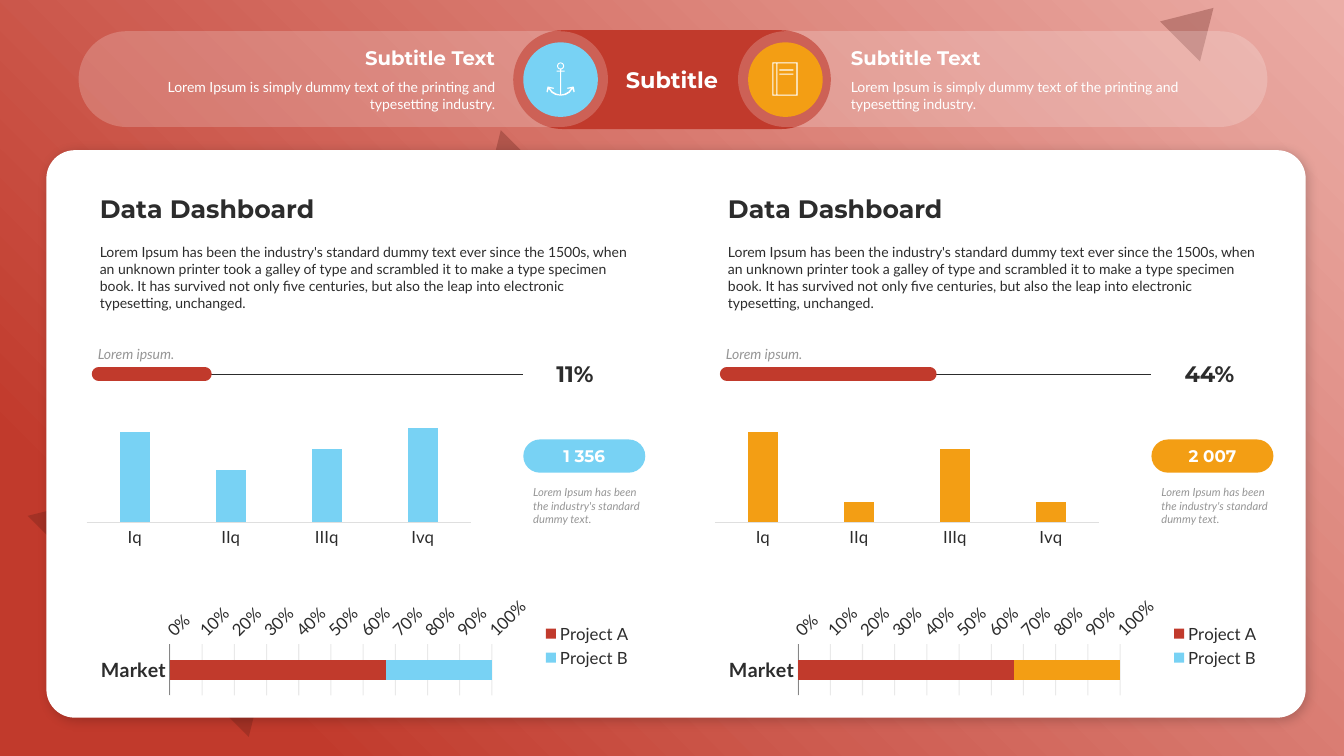
"""Builds a dashboard slide with a two-sided header and two data panels."""
from math import cos, pi, sin

from lxml import etree
from pptx import Presentation
from pptx.chart.data import CategoryChartData
from pptx.dml.color import RGBColor
from pptx.enum.chart import XL_CHART_TYPE, XL_LEGEND_POSITION, XL_TICK_LABEL_POSITION, XL_TICK_MARK
from pptx.enum.shapes import MSO_CONNECTOR, MSO_SHAPE
from pptx.enum.text import MSO_ANCHOR, MSO_AUTO_SIZE, PP_ALIGN
from pptx.oxml import parse_xml
from pptx.oxml.ns import qn
from pptx.util import Inches, Pt

RECT, PILL, OVAL, TRIANGLE = (MSO_SHAPE.RECTANGLE, MSO_SHAPE.ROUNDED_RECTANGLE,
                              MSO_SHAPE.OVAL, MSO_SHAPE.ISOSCELES_TRIANGLE)
LEFT, CENTER, RIGHT = PP_ALIGN.LEFT, PP_ALIGN.CENTER, PP_ALIGN.RIGHT
TOP, MIDDLE, BOTTOM = MSO_ANCHOR.TOP, MSO_ANCHOR.MIDDLE, MSO_ANCHOR.BOTTOM
NO_TICK = XL_TICK_MARK.NONE
RED, BLUE, ORANGE = RGBColor(0xC1, 0x3A, 0x2C), RGBColor(0x78, 0xD2, 0xF4), RGBColor(0xF3, 0x9E, 0x14)
PINK, MAROON = RGBColor(0xEB, 0xAD, 0xA6), RGBColor(0x60, 0x1D, 0x16)
WHITE, INK, GREY = RGBColor(0xFF, 0xFF, 0xFF), RGBColor(0x2C, 0x2C, 0x2C), RGBColor(0x96, 0x96, 0x96)
PALE, AXIS_GREY = RGBColor(0xDF, 0xDF, 0xDF), RGBColor(0x86, 0x86, 0x86)
BODY_FONT, HEAD_FONT = "Lato", "Montserrat"
DRAWING = "http://schemas.openxmlformats.org/drawingml/2006/main"
CHART = "http://schemas.openxmlformats.org/drawingml/2006/chart"

TITLE = "Subtitle"
SIDE_HEAD = "Subtitle Text"
SIDE_TEXT = "Lorem Ipsum is simply dummy text of the printing and typesetting industry."
SIDES = [(7.32, LEFT, 0.98, 0.2), (0.78, RIGHT, 0.2, 0.98)]
BADGES = [(5.19, BLUE), (7.42, ORANGE)]
TRIANGLES = [(0.73, 4.02, 3.1, 2.57, False), (4.57, 1.5, 0.9, 0.75, True), (11.59, 0.01, 0.56, 0.47, False)]
HEADING = "Data Dashboard"
STORY = ("Lorem Ipsum has been the industry's standard dummy text ever since the 1500s, when an unknown "
         "printer took a galley of type and scrambled it to make a type specimen book. It has survived not "
         "only five centuries, but also the leap into electronic typesetting, unchanged.")
PROGRESS_LABEL = "Lorem ipsum."
NOTE = "Lorem Ipsum has been the industry's standard dummy text."
QUARTERS = ["Iq", "IIq", "IIIq", "Ivq"]
MARKET = [("Project A", 67, RED), ("Project B", 33, BLUE)]
PANELS = [
    dict(color=BLUE, percent="11%", progress=1.05, total="1 356", quarters=[96, 56, 78, 100], top=111),
    dict(color=ORANGE, percent="44%", progress=2.01, total="2 007", quarters=[100, 23, 81, 23], top=116),
]
PANEL_LEFT, PANEL_PITCH = 0.89, 6.23
ANCHOR_HALF = [(5, 70), (5, 80), (40, 80), (40, 90), (5, 90), (5, 318), (40, 310), (80, 288), (108, 255),
               (70, 262), (65, 252), (120, 240), (130, 240), (140, 290), (130, 298), (118, 262),
               (90, 300), (50, 323), (0, 330)]
BOOK_PARTS = [(0, 0, 250, 330), (10, 10, 30, 310), (50, 10, 190, 310), (70, 70, 140, 10), (70, 110, 140, 10)]


def inches(*lengths):
    return [Inches(length) for length in lengths]


def set_alpha(fill, percent):
    color = fill._xPr.find(qn("a:solidFill"))[0]
    etree.SubElement(color, qn("a:alpha")).set("val", str(percent * 1000))


def add_block(slide, kind, box, color, alpha=None, round_share=0.5):
    block = slide.shapes.add_shape(kind, *inches(*box))
    block.shadow.inherit = False
    block.fill.solid()
    block.fill.fore_color.rgb = color
    block.line.fill.background()
    if alpha:
        set_alpha(block.fill, alpha)
    if kind == PILL:
        block.adjustments[0] = round_share
    return block


def write(holder, lines, align=LEFT, anchor=TOP, margins=(0.1, 0.05, 0.1, 0.05), after=0):
    frame = holder.text_frame
    frame.word_wrap = True
    frame.auto_size = MSO_AUTO_SIZE.NONE
    frame.vertical_anchor = anchor
    frame.margin_left, frame.margin_top, frame.margin_right, frame.margin_bottom = inches(*margins)
    for index, (text, size, face, color, bold, italic) in enumerate(lines):
        paragraph = frame.add_paragraph() if index else frame.paragraphs[0]
        paragraph.text = text
        paragraph.alignment = align
        paragraph.space_before, paragraph.space_after = Pt(0), Pt(after)
        font = paragraph.font
        font.size, font.name, font.bold, font.italic = Pt(size), face, bold, italic
        font.color.rgb = color


def place(slide, holder, box):
    holder.left, holder.top, holder.width, holder.height = inches(*box)
    slide.shapes._spTree.append(holder._element)
    return holder


def add_text(slide, box, line, **layout):
    write(slide.shapes.add_textbox(*inches(*box)), [line], **layout)


def add_outline(slide, contours, left, top):
    builder = None
    for points in contours:
        if builder is None:
            builder = slide.shapes.build_freeform(*points[0], scale=914.4)
        else:
            builder.move_to(*points[0])
        builder.add_line_segments(points[1:], close=True)
    icon = builder.convert_to_shape(*inches(left, top))
    icon.shadow.inherit = False
    icon.fill.solid()
    icon.fill.fore_color.rgb = WHITE
    icon.line.fill.background()


def circle(radius):
    return [(radius * sin(k * pi / 16), 35 - radius * cos(k * pi / 16)) for k in range(32)]


def add_rule(slide, left, right, y, color, width, cap="flat"):
    rule = slide.shapes.add_connector(MSO_CONNECTOR.STRAIGHT, *inches(left, y, right, y))
    rule.line.color.rgb = color
    rule.line.width = Pt(width)
    rule.line._ln.set("cap", cap)
    etree.SubElement(rule._element.spPr, qn("a:effectLst"))


def add_graph(slide, kind, box, categories, series, gap, overlap, size):
    data = CategoryChartData()
    data.categories = categories
    for name, values, _ in series:
        data.add_series(name, values)
    chart = slide.shapes.add_chart(kind, *inches(*box), data).chart
    chart.has_title = chart.has_legend = False
    chart.font.name, chart.font.size, chart.font.color.rgb = BODY_FONT, Pt(size), INK
    plot = chart.plots[0]
    plot.gap_width, plot.overlap, plot.vary_by_categories = gap, overlap, False
    for drawn, (_, _, color) in zip(plot.series, series):
        drawn.format.fill.solid()
        drawn.format.fill.fore_color.rgb = color
    chart.category_axis.major_tick_mark = chart.value_axis.major_tick_mark = NO_TICK
    return chart


def add_quarters(slide, left, panel):
    chart = add_graph(slide, XL_CHART_TYPE.COLUMN_CLUSTERED, (left - 0.11, 3.98, 4.01, 1.65), QUARTERS,
                      [("Series 1", panel["quarters"], panel["color"])], 219, -27, 10)
    chart.category_axis.tick_labels.font.size = Pt(12)
    chart.category_axis.format.line.color.rgb = PALE
    chart.category_axis.format.line.width = Pt(0.75)
    axis = chart.value_axis
    axis.minimum_scale, axis.maximum_scale = 0, panel["top"]
    axis.has_major_gridlines = axis.visible = False
    area = chart._chartSpace.chart.plotArea
    for old in area.findall(qn("c:layout")):
        area.remove(old)
    shares = "".join(f'<c:{tag} val="{value}"/>' for tag, value in (
        ("layoutTarget", "inner"), ("xMode", "edge"), ("yMode", "edge"),
        ("x", 0.02), ("y", 0.1), ("w", 0.95), ("h", 0.63)))
    area.insert(0, parse_xml(f'<c:layout xmlns:c="{CHART}"><c:manualLayout>{shares}</c:manualLayout></c:layout>'))


def add_market(slide, left, panel):
    chart = add_graph(slide, XL_CHART_TYPE.BAR_STACKED_100, (left, 5.89, 5.48, 1.03), ["Market"],
                      [(name, [value], color) for name, value, color in MARKET], 155, 100, 12)
    chart.has_legend = True
    chart.legend.position = XL_LEGEND_POSITION.RIGHT
    chart.legend.include_in_layout = False
    names, axis = chart.category_axis, chart.value_axis
    names.reverse_order = True
    names.tick_labels.font.size, names.tick_labels.font.bold = Pt(14), True
    names.format.line.color.rgb = AXIS_GREY
    axis.tick_label_position = XL_TICK_LABEL_POSITION.NEXT_TO_AXIS
    axis.tick_labels.number_format, axis.tick_labels.number_format_is_linked = "0%", False
    axis.format.line.fill.background()
    grid = axis.major_gridlines.format.line
    grid.color.rgb, grid.width = INK, Pt(0.75)
    set_alpha(grid.fill, 10)
    if panel["color"] != MARKET[1][2]:
        point = chart.plots[0].series[1].points[0].format.fill
        point.solid()
        point.fore_color.rgb = panel["color"]


def add_backdrop(slide):
    fill = slide.background.fill
    fill.gradient()
    for stop, color, position in zip(fill.gradient_stops, (PINK, RED), (0, 0.85)):
        stop.color.rgb, stop.position = color, position
    gradient = slide.background._cSld.find(".//" + qn("a:gradFill"))
    gradient.replace(gradient.find(qn("a:lin")), parse_xml(
        f'<a:path xmlns:a="{DRAWING}" path="circle"><a:fillToRect l="100000" b="100000"/></a:path>'))
    for *box, flipped in TRIANGLES:
        triangle = add_block(slide, TRIANGLE, box, MAROON, 30)
        triangle.rotation = 45
        if flipped:
            triangle._element.spPr.xfrm.set("flipV", "1")


def add_header(slide):
    add_block(slide, PILL, (5.09, 0.3, 3.15, 0.98), RED)
    for left, align, inset_left, inset_right in SIDES:
        side = add_block(slide, PILL, (left, 0.31, 5.25, 0.95), WHITE, 20)
        write(side, [(SIDE_HEAD, 14, HEAD_FONT, WHITE, True, False), (SIDE_TEXT, 10, BODY_FONT, WHITE, False, False)],
              align, MIDDLE, (inset_left, 0.05, inset_right, 0.05), 6)
    for left, color in BADGES:
        add_block(slide, OVAL, (left, 0.42, 0.74, 0.74), color)
    mirrored = [(-x, y) for x, y in reversed(ANCHOR_HALF[:-1])]
    add_outline(slide, [ANCHOR_HALF + mirrored, circle(35), circle(25)[::-1]], 5.56, 0.62)
    add_outline(slide, [[(x, y), (x + w, y), (x + w, y + h), (x, y + h)] for x, y, w, h in BOOK_PARTS], 7.66, 0.62)
    write(place(slide, slide.shapes.title, (5.96, 0.3, 1.41, 0.98)),
          [(TITLE, 16, HEAD_FONT, WHITE, True, False)], CENTER, MIDDLE, (0, 0.05, 0, 0.05))


def add_card(slide):
    card = add_block(slide, PILL, (0.46, 1.49, 12.49, 5.63), WHITE, round_share=0.05)
    card._element.spPr.find(qn("a:effectLst")).append(parse_xml(
        f'<a:outerShdw xmlns:a="{DRAWING}" blurRad="{Pt(8)}" dist="{Pt(3)}" dir="2700000" rotWithShape="0">'
        '<a:srgbClr val="000000"><a:alpha val="20000"/></a:srgbClr></a:outerShdw>'))


def add_panel(slide, left, panel, heading, story):
    write(place(slide, heading, (left, 1.87, 5.48, 0.4)), [(HEADING, 18, HEAD_FONT, INK, True, False)], anchor=BOTTOM)
    write(place(slide, story, (left, 2.37, 5.48, 0.77)), [(STORY, 10, BODY_FONT, INK, False, False)], after=6)
    bullet = story.text_frame.paragraphs[0]._p.get_or_add_pPr()
    bullet.set("marL", "0")
    bullet.set("indent", "0")
    bullet.insert_element_before(parse_xml(f'<a:buNone xmlns:a="{DRAWING}"/>'), "a:tabLst", "a:defRPr")
    add_text(slide, (left, 3.37, 1.92, 0.27), (PROGRESS_LABEL, 10, BODY_FONT, GREY, False, True),
             anchor=BOTTOM, margins=(0.08, 0.05, 0.1, 0.05))
    add_rule(slide, left + 0.04, left + 4.3, 3.71, INK, 0.5)
    add_rule(slide, left + 0.09, left + 0.09 + panel["progress"], 3.71, RED, 10, "rnd")
    add_text(slide, (left + 4.53, 3.52, 0.95, 0.37), (panel["percent"], 16, HEAD_FONT, INK, True, False), anchor=MIDDLE)
    add_quarters(slide, left, panel)
    total = add_block(slide, PILL, (left + 4.3, 4.36, 1.21, 0.33), panel["color"])
    write(total, [(panel["total"], 12, HEAD_FONT, WHITE, True, False)], CENTER, MIDDLE, (0, 0, 0, 0))
    add_text(slide, (left + 4.3, 4.77, 1.38, 0.5), (NOTE, 8, BODY_FONT, GREY, False, True))
    add_market(slide, left, panel)


def main():
    deck = Presentation()
    deck.slide_width, deck.slide_height = inches(13.33, 7.5)
    slide = deck.slides.add_slide(deck.slide_layouts[4])
    holders = {holder.placeholder_format.idx: holder for holder in slide.placeholders}
    add_backdrop(slide)
    add_header(slide)
    add_card(slide)
    for index, panel in enumerate(PANELS):
        add_panel(slide, PANEL_LEFT + index * PANEL_PITCH, panel, holders[1 + 2 * index], holders[2 + 2 * index])
    deck.save("out.pptx")


if __name__ == "__main__":
    main()
